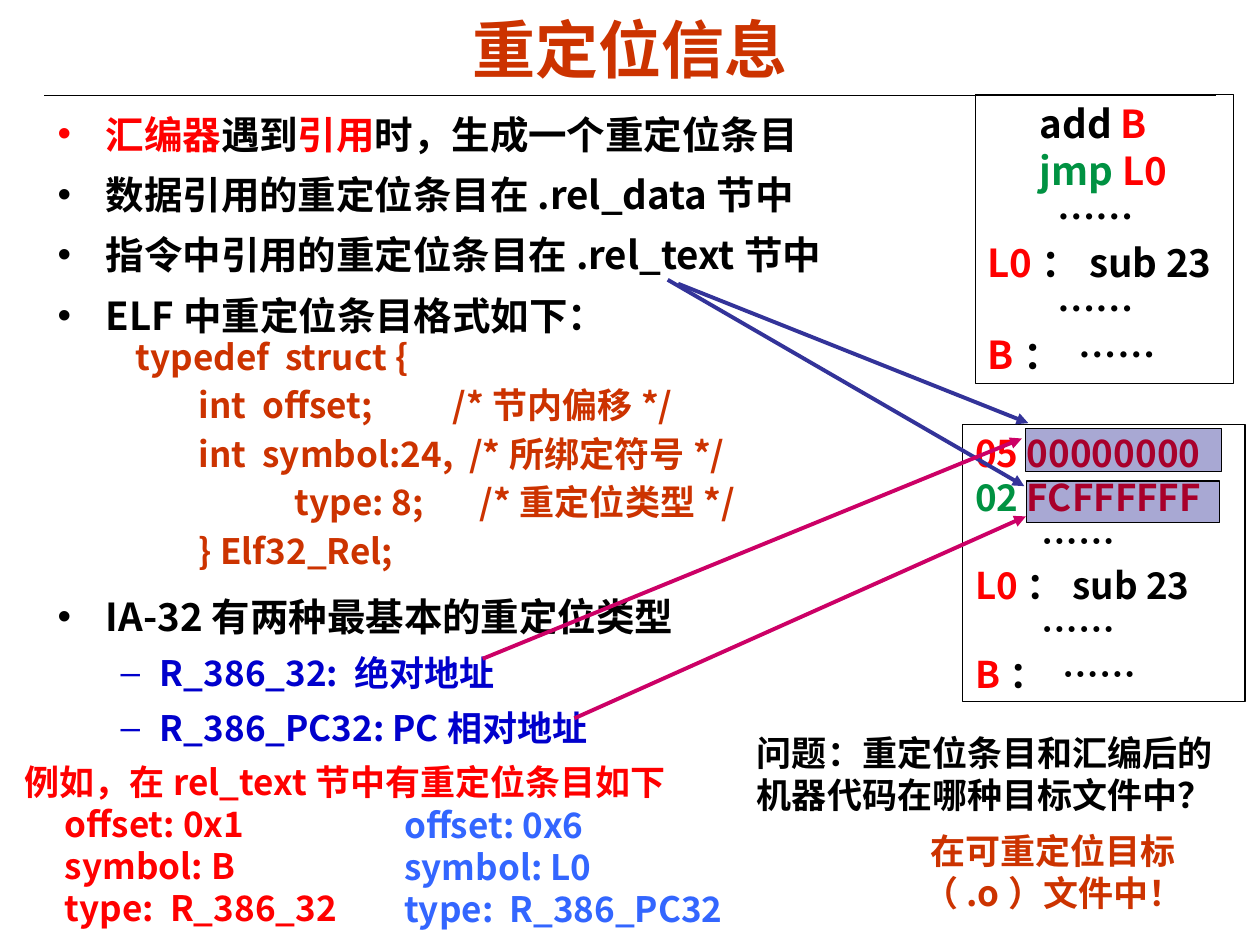
from pptx import Presentation
from pptx.dml.color import RGBColor
from pptx.enum.shapes import MSO_CONNECTOR, MSO_SHAPE
from pptx.enum.text import MSO_ANCHOR, MSO_AUTO_SIZE, PP_ALIGN
from pptx.oxml.ns import qn
from pptx.util import Cm, Pt
from lxml import etree

RECT = MSO_SHAPE.RECTANGLE
STRAIGHT = MSO_CONNECTOR.STRAIGHT
LEFT, CENTER = PP_ALIGN.LEFT, PP_ALIGN.CENTER
TOP, MIDDLE = MSO_ANCHOR.TOP, MSO_ANCHOR.MIDDLE
NO_FIT = MSO_AUTO_SIZE.NONE
NOTO = "Noto Sans CJK SC"
C = {
    "black": "000000", "red": "FF0000", "rust": "CC3300", "green": "009242",
    "blue": "0000CC", "sky": "3366FF", "indigo": "333399", "pink": "CC0066",
    "navy": "000080",
}


def write(tf, lines, size, color="black", font=NOTO, pitch=None, before=0,
          align=LEFT, anchor=TOP, indent=0):
    tf.word_wrap = True
    tf.auto_size = NO_FIT
    tf.vertical_anchor = anchor
    for i, line in enumerate(lines):
        p = tf.paragraphs[0] if i == 0 else tf.add_paragraph()
        p.alignment = align
        p.line_spacing = Pt(pitch or size * 1.2)
        p.space_before = Pt(before if i else 0)
        if indent:
            p._p.get_or_add_pPr().set("marL", str(Cm(indent)))
        for text, name in [(line, color)] if isinstance(line, str) else line:
            r = p.add_run()
            r.text = text
            r.font.size = Pt(size)
            r.font.bold = True
            r.font.name = font
            r.font.color.rgb = RGBColor.from_string(C[name])
            etree.SubElement(r.font._element, qn("a:ea"), typeface=NOTO)


def connect(x1, y1, x2, y2, color, width, arrow=True):
    line = s.shapes.add_connector(STRAIGHT, Cm(x1), Cm(y1), Cm(x2), Cm(y2))
    line.line.color.rgb = RGBColor.from_string(C[color])
    line.line.width = Pt(width)
    if arrow:
        etree.SubElement(line.line._get_or_add_ln(), qn("a:tailEnd"), type="triangle")
    etree.SubElement(line._element.spPr, qn("a:effectLst"))


prs = Presentation()
prs.slide_width, prs.slide_height = Cm(25.4), Cm(19.05)
s = prs.slides.add_slide(prs.slide_layouts[1])

connect(0.89, 1.93, 24.51, 1.93, "black", 0.75, arrow=False)

title = s.shapes.title
title.left, title.top, title.width, title.height = Cm(1.27), Cm(0.2), Cm(22.86), Cm(1.55)
write(title.text_frame, ["重定位信息"], 36, "rust", "Arial", align=CENTER, anchor=MIDDLE)

body = s.placeholders[1]
body.left, body.top, body.width, body.height = Cm(0.91), Cm(2.01), Cm(23.67), Cm(13.84)
tf = body.text_frame
write(tf, [
    [("汇编器", "red"), ("遇到", "black"), ("引用", "red"), ("时，生成一个重定位条目", "black")],
    "数据引用的重定位条目在.rel_data节中",
    "指令中引用的重定位条目在.rel_text节中",
    "ELF中重定位条目格式如下：",
    "IA-32有两种最基本的重定位类型",
    [("R_386_32: 绝对地址", "blue")],
    [("R_386_PC32: PC相对地址", "blue")],
], 22, pitch=29, before=5.5)
tf.paragraphs[4].space_before = Pt(143)
for i, p in enumerate(tf.paragraphs):
    margin, hang, mark, color = 0.97, -0.97, "•", "red" if i == 0 else "black"
    if i > 4:
        margin, hang, mark, color = 2.06, -0.79, "–", "blue"
        p.level = 1
        p.line_spacing, p.space_before = Pt(26.4), Pt(5)
        p.runs[0].font.size = Pt(20)
    pPr = p._p.get_or_add_pPr()
    pPr.set("marL", str(Cm(margin)))
    pPr.set("indent", str(Cm(hang)))
    etree.SubElement(etree.SubElement(pPr, qn("a:buClr")), qn("a:srgbClr"), val=C[color])
    etree.SubElement(pPr, qn("a:buChar"), char=mark)

struct_code = [
    "typedef  struct {",
    "\tint  offset;          /*节内偏移*/",
    "  \tint  symbol:24,  /*所绑定符号*/",
    "                    type: 8;       /*重定位类型*/",
    "\t} Elf32_Rel;",
]
text_boxes = [
    (2.49, 6.63, 13.92, 5.03, struct_code, {"color": "rust", "before": 3.7}),
    (0.25, 15.21, 13.61, 0.95, ["例如，在rel_text节中有重定位条目如下"], {"color": "red"}),
    (0.25, 16.06, 7.4, 2.8, ["offset: 0x1", "symbol: B", "type:  R_386_32"],
     {"color": "red", "indent": 0.81}),
    (7.9, 16.08, 10.31, 2.8, ["offset: 0x6", "symbol: L0", "type:  R_386_PC32"],
     {"color": "sky"}),
    (15.01, 14.63, 10.24, 1.96, ["问题：重定位条目和汇编后的机器代码在哪种目标文件中？"],
     {"font": "Arial"}),
    (18.24, 16.59, 5.99, 1.96, ["在可重定位目标（.o）文件中！"],
     {"color": "rust", "align": CENTER}),
]
for x, y, w, h, lines, fmt in text_boxes:
    tb = s.shapes.add_textbox(Cm(x), Cm(y), Cm(w), Cm(h))
    write(tb.text_frame, lines, 20, **fmt)

listing_tail = [
    "        ……",
    [("L0", "red"), ("：sub 23", "black")],
    "        ……",
    [("B", "red"), ("：  ……", "black")],
]
assembly = [
    [("      add ", "black"), ("B", "red")],
    [("      jmp ", "green"), ("L0", "red")],
]
machine = [
    [("05 00000000", "red")],
    [("02 ", "green"), ("FCFFFFFF", "red")],
]
for x, y, w, h, size, head in [
    (19.66, 1.9, 5.21, 5.84, 22, assembly),
    (19.41, 8.56, 5.69, 5.59, 21, machine),
]:
    sp = s.shapes.add_shape(RECT, Cm(x), Cm(y), Cm(w), Cm(h))
    sp.shadow.inherit = False
    sp.fill.background()
    sp.line.color.rgb = RGBColor.from_string(C["black"])
    sp.line.width = Pt(0.75)
    write(sp.text_frame, head + listing_tail, size)

for x, y, w, h in [(20.68, 8.64, 3.94, 0.86), (20.7, 9.7, 3.89, 0.84)]:
    sp = s.shapes.add_shape(RECT, Cm(x), Cm(y), Cm(w), Cm(h))
    sp.shadow.inherit = False
    sp.fill.solid()
    sp.fill.fore_color.rgb = RGBColor.from_string(C["navy"])
    etree.SubElement(sp._element.spPr.find(qn("a:solidFill"))[0], qn("a:alpha"), val="34000")
    sp.line.color.rgb = RGBColor.from_string(C["black"])
    sp.line.width = Pt(0.75)

for x1, y1, x2, y2, color in [
    (13.46, 5.64, 20.65, 9.8, "indigo"),
    (13.67, 5.72, 20.73, 8.53, "indigo"),
    (9.73, 13.28, 20.6, 8.84, "pink"),
    (11.58, 14.48, 20.68, 10.41, "pink"),
]:
    connect(x1, y1, x2, y2, color, 2.25)

prs.save("out.pptx")
